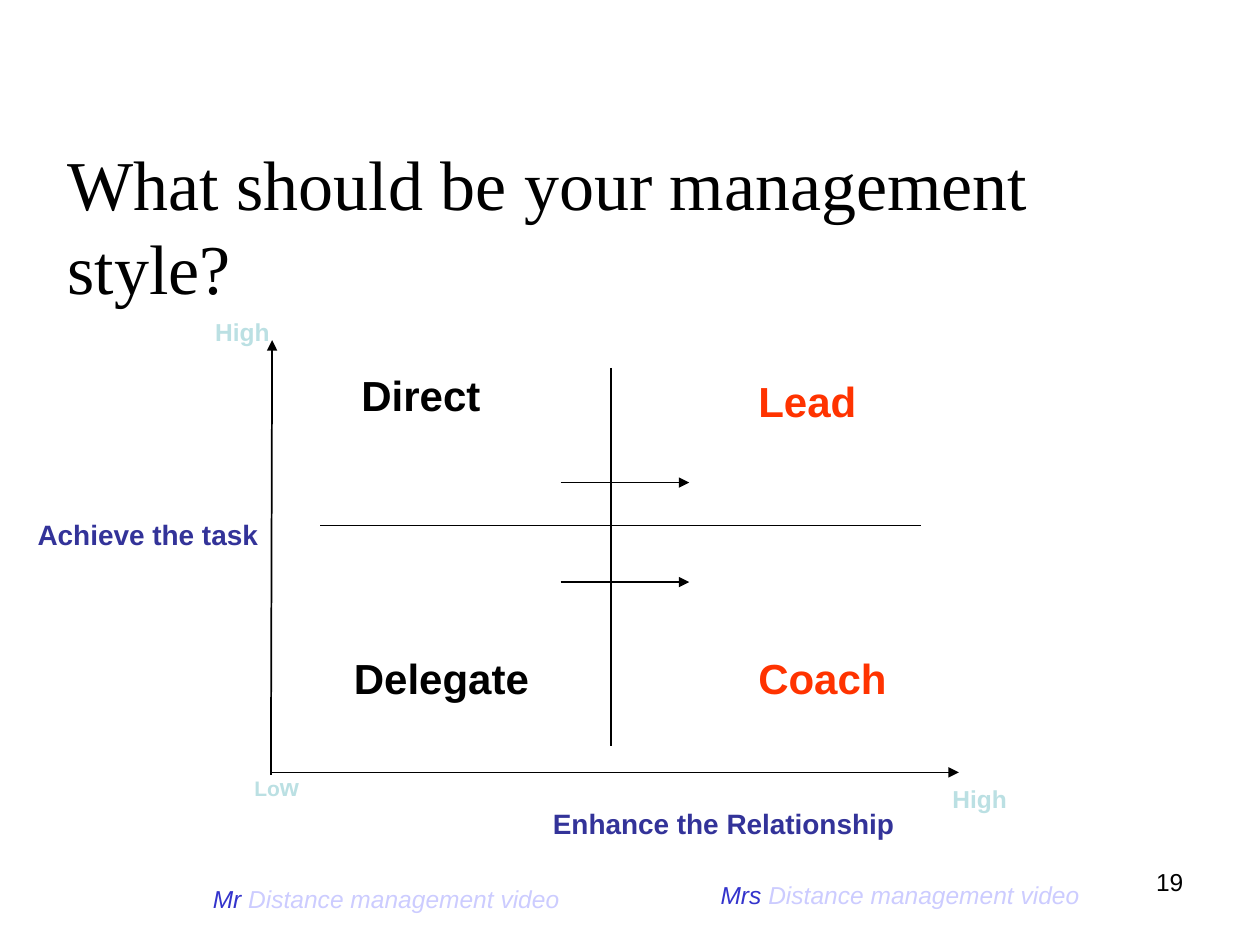
from lxml.etree import SubElement
from pptx import Presentation
from pptx.dml.color import RGBColor
from pptx.enum.shapes import MSO_CONNECTOR
from pptx.enum.text import PP_ALIGN
from pptx.oxml.ns import qn
from pptx.util import Inches, Pt

BLACK = RGBColor(0x00, 0x00, 0x00)
NAVY = RGBColor(0x33, 0x33, 0x99)
PALE_TEAL = RGBColor(0xBB, 0xE0, 0xE3)
ORANGE = RGBColor(0xFF, 0x33, 0x00)
BLUE = RGBColor(0x33, 0x33, 0xCC)
LAVENDER = RGBColor(0xCC, 0xCC, 0xFF)


def add_text(left, top, width, height, runs, font="Arial", bold=False, italic=False, wrap=True):
    box = page.shapes.add_textbox(Inches(left), Inches(top), Inches(width), Inches(height))
    box.text_frame.word_wrap = wrap
    para = box.text_frame.paragraphs[0]
    for text, size, color in runs:
        span = para.add_run()
        span.text = text
        span.font.name = font
        span.font.size = Pt(size)
        span.font.bold = bold
        span.font.italic = italic
        span.font.color.rgb = color
    return para


def add_line(x1, y1, x2, y2, weight, arrow):
    line = page.shapes.add_connector(
        MSO_CONNECTOR.STRAIGHT, Inches(x1), Inches(y1), Inches(x2), Inches(y2))
    line.line.color.rgb = BLACK
    line.line.width = Pt(weight)
    if arrow:
        SubElement(line.line._get_or_add_ln(), qn("a:tailEnd"), type="triangle")
    SubElement(line._element.spPr, qn("a:effectLst"))


deck = Presentation()
deck.slide_width = Inches(10)
deck.slide_height = Inches(7.5)
page = deck.slides.add_slide(deck.slide_layouts[6])

add_text(0.44, 1.07, 9.24, 0.77, [("What should be your management style?", 40, BLACK)],
         font="Times New Roman", wrap=False)

for x1, y1, x2, y2, weight, arrow in [
    (2.15, 6.13, 7.61, 6.13, 1, True),
    (2.15, 6.15, 2.16, 2.7, 1, True),
    (4.85, 2.92, 4.85, 5.92, 1, False),
    (2.54, 4.17, 7.31, 4.17, 1, False),
    (4.45, 3.83, 5.47, 3.83, 0.75, True),
    (4.45, 4.62, 5.47, 4.62, 0.75, True),
]:
    add_line(x1, y1, x2, y2, weight, arrow)

for left, top, width, height, text, size, color in [
    (0.2, 4.06, 2.02, 0.37, "Achieve the task", 16, NAVY),
    (4.29, 6.35, 4.23, 0.37, "Enhance the Relationship", 16, NAVY),
    (2.77, 2.88, 2.54, 0.5, "Direct", 24, BLACK),
    (5.92, 2.93, 3.23, 0.5, "Lead", 24, ORANGE),
    (2.71, 5.13, 1.75, 0.5, "Delegate", 24, BLACK),
    (5.92, 5.13, 2.37, 0.5, "Coach", 24, ORANGE),
    (1.61, 2.47, 0.85, 0.34, "High", 14, PALE_TEAL),
    (7.46, 6.17, 0.85, 0.34, "High", 14, PALE_TEAL),
]:
    add_text(left, top, width, height, [(text, size, color)], bold=True)
add_text(1.92, 6.08, 0.85, 0.34, [("Lo", 12, PALE_TEAL), ("w", 14, PALE_TEAL)], bold=True)

for left, top, width, title in [(1.59, 7.01, 2.95, "Mr "), (5.62, 6.98, 3.05, "Mrs ")]:
    para = add_text(left, top, width, 0.29,
                    [(title, 14, BLUE), ("Distance management video", 14, LAVENDER)],
                    italic=True, wrap=False)
    para.line_spacing = 0.81

para = add_text(7.17, 6.83, 2.32, 0.51, [("19", 14, BLACK)])
para.alignment = PP_ALIGN.RIGHT

deck.save("out.pptx")
